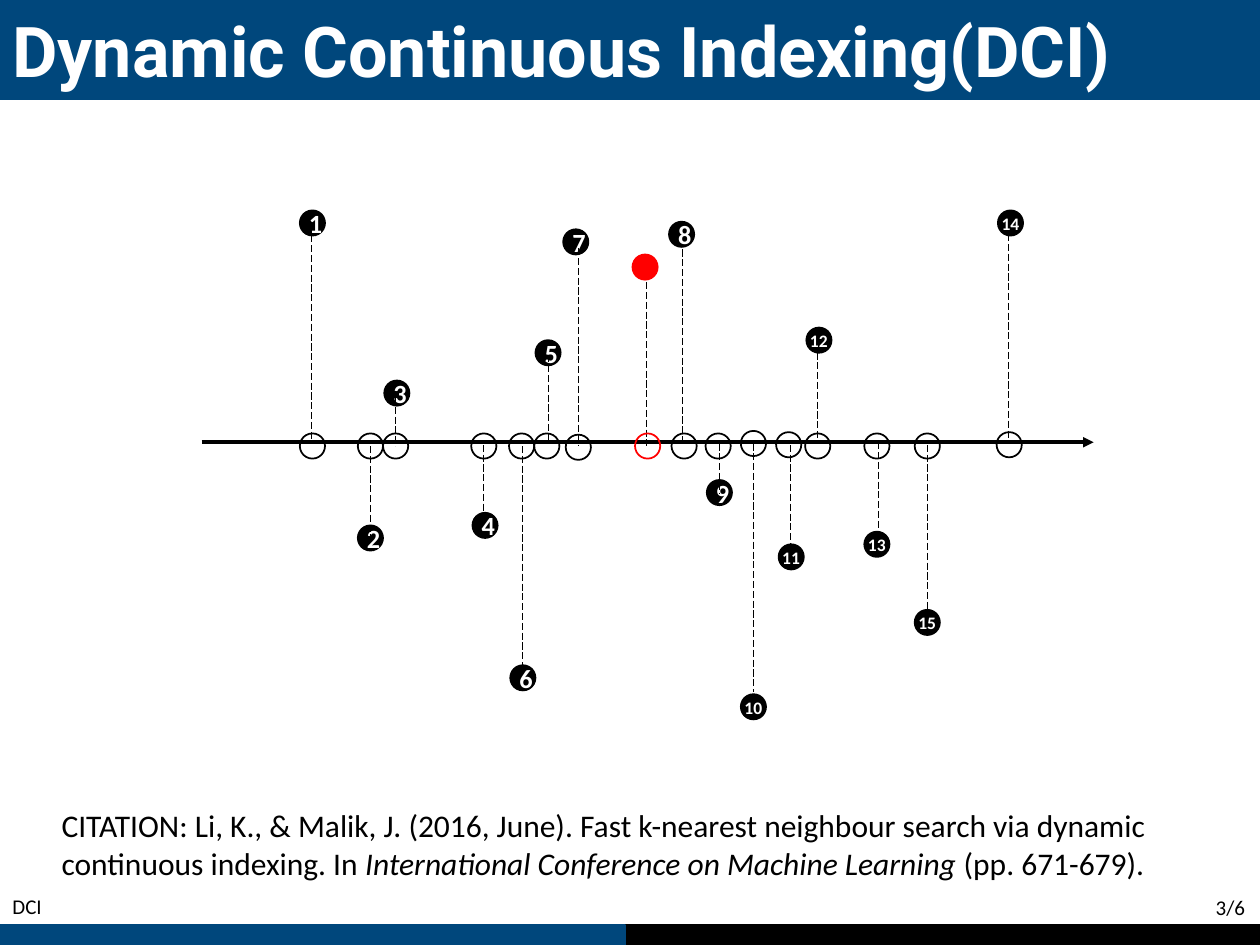
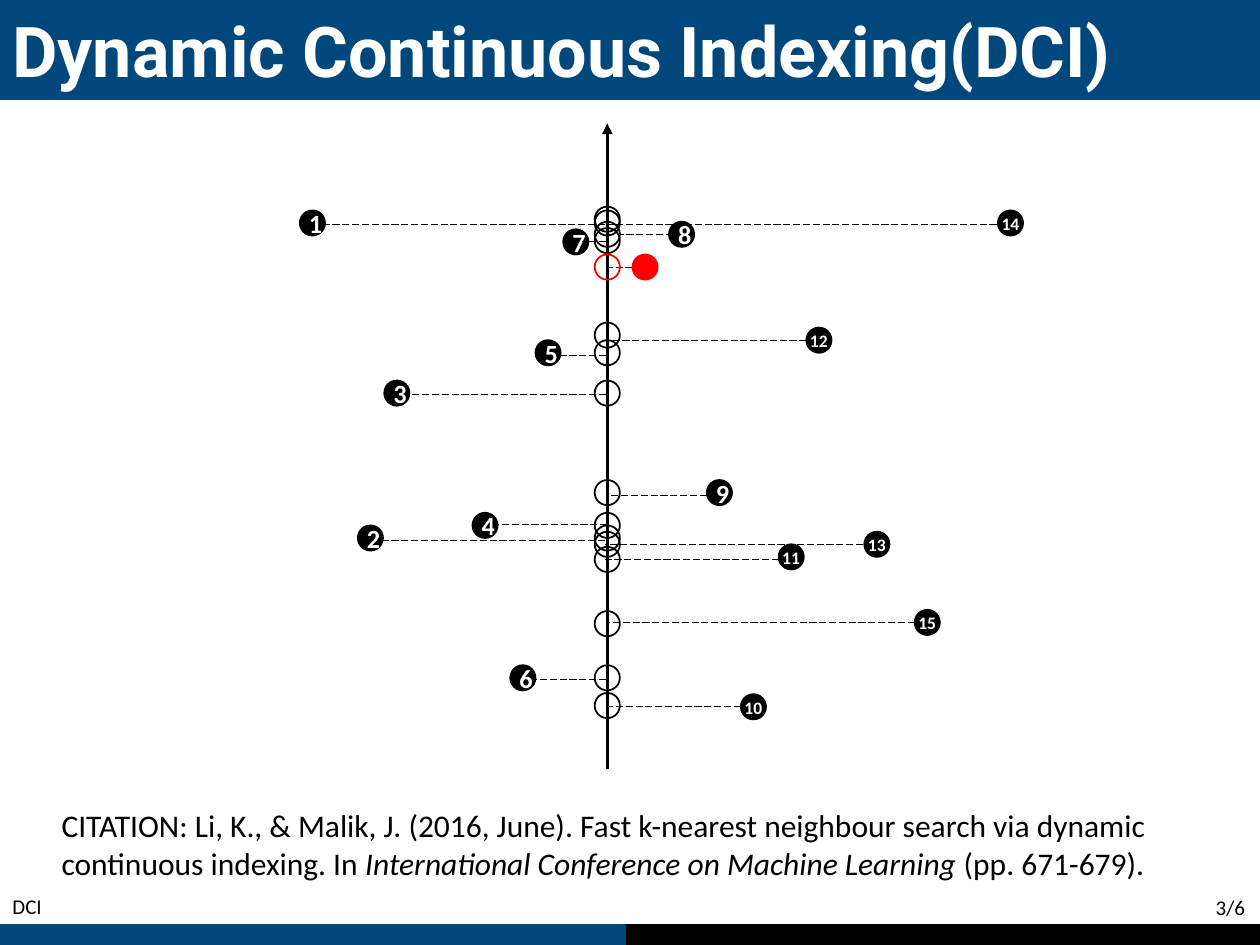
from typing import NamedTuple

from lxml import etree
from pptx import Presentation
from pptx.dml.color import RGBColor
from pptx.enum.dml import MSO_LINE
from pptx.enum.shapes import MSO_CONNECTOR, MSO_SHAPE
from pptx.enum.text import MSO_ANCHOR, MSO_AUTO_SIZE, PP_ALIGN
from pptx.oxml.ns import qn
from pptx.util import Inches, Pt

RECTANGLE, OVAL = MSO_SHAPE.RECTANGLE, MSO_SHAPE.OVAL
STRAIGHT = MSO_CONNECTOR.STRAIGHT
LONG_DASH = MSO_LINE.LONG_DASH
MIDDLE = MSO_ANCHOR.MIDDLE
GROW = MSO_AUTO_SIZE.SHAPE_TO_FIT_TEXT
LEFT, CENTER, RIGHT = PP_ALIGN.LEFT, PP_ALIGN.CENTER, PP_ALIGN.RIGHT

COLORS = {"blue": "00477C", "black": "000000", "white": "FFFFFF", "red": "FF0000"}
FORMATS = {
    "title": {"name": "Roboto", "size": Pt(40), "bold": True, "color": "white"},
    "digit": {"name": "Calibri", "size": Pt(15), "bold": True, "color": "white"},
    "number": {"name": "Calibri", "size": Pt(10), "bold": True, "color": "white"},
    "citation": {"name": "Calibri", "size": Pt(18), "color": "black"},
    "footer": {"name": "Calibri", "size": Pt(12), "color": "black"},
}

WIDTH, HEIGHT = 10, 7.5
DOT = 0.2
BAND_TOP, BAND_HEIGHT = 7.34, 0.16

TITLE = "Dynamic Continuous Indexing(DCI)"
CITATION = [
    ("CITATION: Li, K., & Malik, J. (2016, June). Fast k-nearest neighbour "
     "search via dynamic continuous indexing. In ", False),
    ("International Conference on Machine Learning", True),
    (" (pp. 671-679).", False),
]

# Left and top of each data point; the query has no number
QUERY = ""
POINTS = {
    "1": (2.38, 1.67), "2": (2.84, 4.17), "3": (3.05, 3.02), "4": (3.75, 4.07),
    "5": (4.25, 2.7), "6": (4.05, 5.28), "7": (4.47, 1.82), "8": (5.31, 1.76),
    "9": (5.61, 3.81), "10": (5.88, 5.51), "11": (6.18, 4.32), "12": (6.4, 2.6),
    "13": (6.86, 4.22), "14": (7.92, 1.67), "15": (7.26, 4.84), QUERY: (5.02, 2.02),
}


class Projection(NamedTuple):
    """Ring on the axis, and the dashed line that leads to it.

    along and across place the ring; line is its place along the axis,
    start and end are its reach across the axis.
    """
    along: float
    across: float
    line: float
    start: float
    end: float


ONTO_HORIZONTAL = {
    "1": Projection(2.38, 3.44, 2.47, 1.79, 3.52),
    "2": Projection(2.84, 3.44, 2.94, 3.54, 4.25),
    "3": Projection(3.04, 3.44, 3.14, 3.15, 3.54),
    "4": Projection(3.74, 3.44, 3.84, 3.53, 4.13),
    "5": Projection(4.24, 3.44, 4.35, 2.82, 3.52),
    "6": Projection(4.04, 3.44, 4.15, 3.54, 5.35),
    "7": Projection(4.49, 3.45, 4.59, 1.97, 3.54),
    "8": Projection(5.33, 3.44, 5.42, 1.98, 3.51),
    "9": Projection(5.6, 3.44, 5.71, 3.52, 3.92),
    "10": Projection(5.88, 3.42, 5.98, 3.52, 5.49),
    "11": Projection(6.16, 3.43, 6.27, 3.53, 4.32),
    "12": Projection(6.39, 3.44, 6.49, 2.72, 3.51),
    "13": Projection(6.86, 3.44, 6.97, 3.51, 4.3),
    "14": Projection(7.91, 3.43, 8, 1.78, 3.52),
    "15": Projection(7.26, 3.44, 7.36, 3.53, 4.87),
    QUERY: Projection(5.04, 3.44, 5.13, 2.24, 3.54),
}
ONTO_VERTICAL = {
    "1": Projection(1.67, 4.72, 1.78, 4.8, 2.55),
    "2": Projection(4.17, 4.72, 4.29, 4.8, 2.99),
    "3": Projection(3.02, 4.72, 3.13, 4.81, 3.24),
    "4": Projection(4.07, 4.72, 4.16, 4.82, 3.92),
    "5": Projection(2.7, 4.72, 2.82, 4.81, 4.41),
    "6": Projection(5.28, 4.72, 5.39, 4.81, 4.22),
    "7": Projection(1.81, 4.72, 1.92, 4.81, 4.62),
    "8": Projection(1.76, 4.72, 1.86, 5.34, 4.8),
    "9": Projection(3.81, 4.72, 3.93, 5.61, 4.82),
    "10": Projection(5.5, 4.72, 5.61, 5.88, 4.82),
    "11": Projection(4.34, 4.72, 4.44, 6.18, 4.8),
    "12": Projection(2.56, 4.72, 2.7, 6.4, 4.83),
    "13": Projection(4.22, 4.72, 4.32, 6.85, 4.8),
    "14": Projection(1.64, 4.72, 1.78, 7.91, 4.8),
    "15": Projection(4.85, 4.72, 4.94, 7.26, 4.82),
    QUERY: Projection(2.02, 4.72, 2.12, 5.02, 4.82),
}


def rgb(color):
    return RGBColor.from_string(COLORS[color])


class Deck:
    def __init__(self):
        self.presentation = Presentation()
        self.presentation.slide_width = Inches(WIDTH)
        self.presentation.slide_height = Inches(HEIGHT)
        self.slide = None

    def new_slide(self):
        blank = self.presentation.slide_layouts[6]
        self.slide = self.presentation.slides.add_slide(blank)

    def add_runs(self, frame, runs, style, align=LEFT):
        paragraph = frame.paragraphs[0]
        paragraph.alignment = align
        for words, italic in runs:
            run = paragraph.add_run()
            run.text = words
            for attribute, value in FORMATS[style].items():
                if attribute == "color":
                    run.font.color.rgb = rgb(value)
                else:
                    setattr(run.font, attribute, value)
            run.font.italic = italic

    def shape(self, preset, box, line, fill=None):
        shape = self.slide.shapes.add_shape(preset, *map(Inches, box))
        shape.shadow.inherit = False
        if fill:
            shape.fill.solid()
            shape.fill.fore_color.rgb = rgb(fill)
        else:
            shape.fill.background()
        shape.line.color.rgb = rgb(line)
        shape.line.width = Pt(1)
        return shape

    def band(self, box, color):
        return self.shape(RECTANGLE, box, color, color)

    def text(self, box, runs, style, align=LEFT, wrap=True):
        frame = self.slide.shapes.add_textbox(*map(Inches, box)).text_frame
        frame.word_wrap = wrap
        frame.auto_size = GROW
        self.add_runs(frame, runs, style, align)

    def line(self, start, end, width, dash=None, arrow=False):
        line = self.slide.shapes.add_connector(STRAIGHT, *map(Inches, start + end))
        line.line.color.rgb = rgb("black")
        line.line.width = Pt(width)
        if dash:
            line.line.dash_style = dash
        properties = line._element.spPr
        if arrow:
            etree.SubElement(properties.find(qn("a:ln")), qn("a:tailEnd"), type="triangle")
        etree.SubElement(properties, qn("a:effectLst"))

    def dot(self, label, left, top):
        color = "black" if label else "red"
        dot = self.shape(OVAL, (left, top, DOT, DOT), color, color)
        if len(label) == 1:
            dot.text_frame.vertical_anchor = MIDDLE
            self.add_runs(dot.text_frame, [(label, False)], "digit", CENTER)

    def frame(self):
        # Title band
        title = self.band((0, 0, WIDTH, 0.79), "blue").text_frame
        title.vertical_anchor = MIDDLE
        self.add_runs(title, [(TITLE, False)], "title")
        # Footer bands and texts
        self.band((0, BAND_TOP, WIDTH, BAND_HEIGHT), "black")
        self.band((0, BAND_TOP, 4.96, BAND_HEIGHT), "blue")
        self.text((8.8, 7.05, 1.18, 0.3), [("3/6", False)], "footer", RIGHT)
        self.text((0, 7.04, 3.15, 0.3), [("DCI", False)], "footer")
        # Citation
        self.text((0.39, 6.35, 9.59, 0.71), CITATION, "citation")

    def projection_slide(self, axis_start, axis_end, projections, vertical=False):
        def place(along, across):
            return (across, along) if vertical else (along, across)

        self.new_slide()
        self.frame()
        # Data points
        for label, (left, top) in POINTS.items():
            self.dot(label, left, top)
        # Axis and the lines onto it
        self.line(axis_start, axis_end, 2, arrow=True)
        for lead in projections.values():
            self.line(place(lead.line, lead.start), place(lead.line, lead.end),
                      0.5, LONG_DASH)
        # Projected points
        for label, ring in projections.items():
            self.shape(OVAL, place(ring.along, ring.across) + (DOT, DOT),
                       "black" if label else "red")
        # Two-digit numbers lie over their dots
        for label, (left, top) in POINTS.items():
            if len(label) == 2:
                self.text((left - 0.07, top - 0.03, 0.35, 0.27),
                          [(label, False)], "number", wrap=False)


def main():
    deck = Deck()
    deck.projection_slide((1.6, 3.51), (8.68, 3.51), ONTO_HORIZONTAL)
    deck.projection_slide((4.82, 6.1), (4.82, 0.98), ONTO_VERTICAL, vertical=True)
    deck.presentation.save("out.pptx")


if __name__ == "__main__":
    main()
